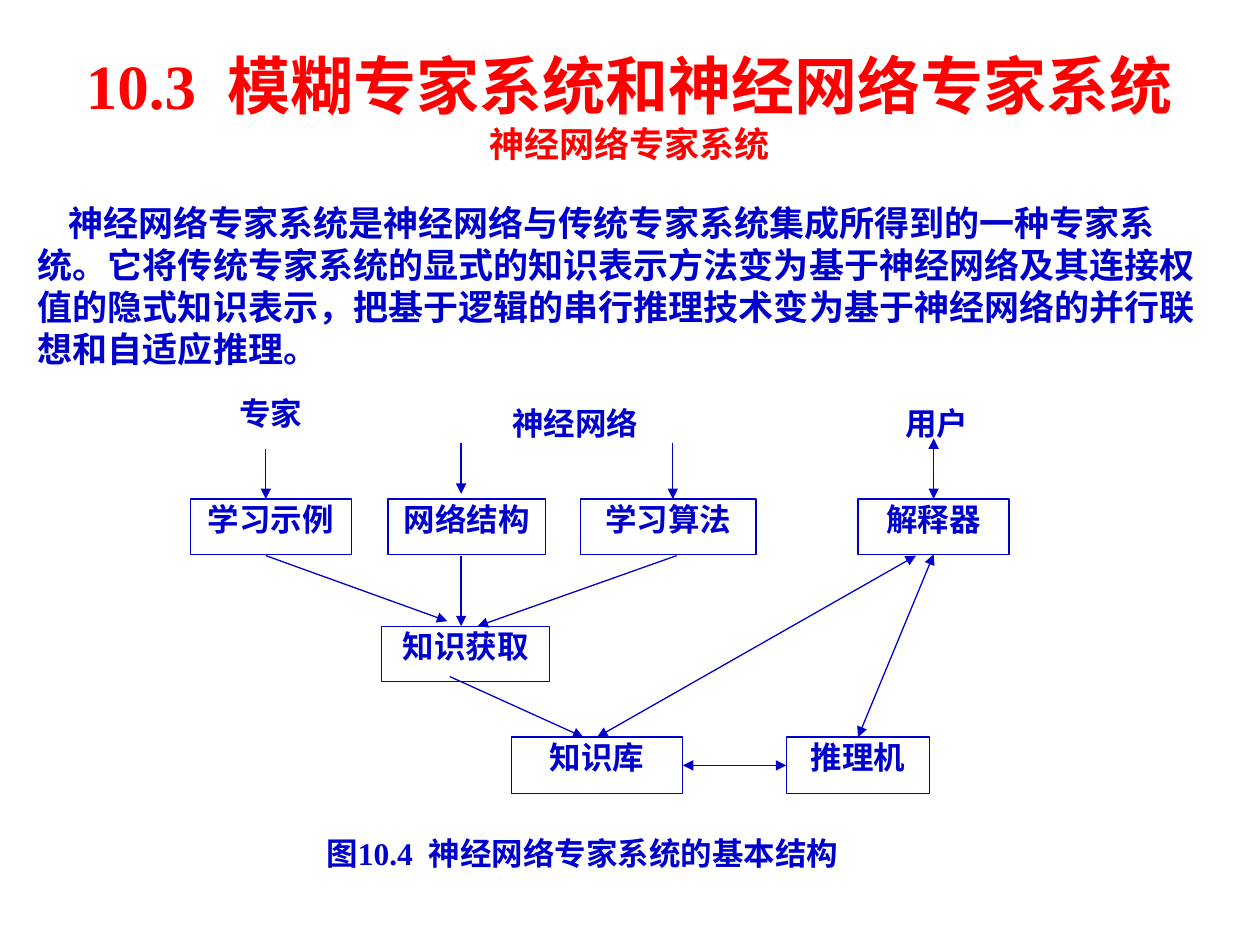
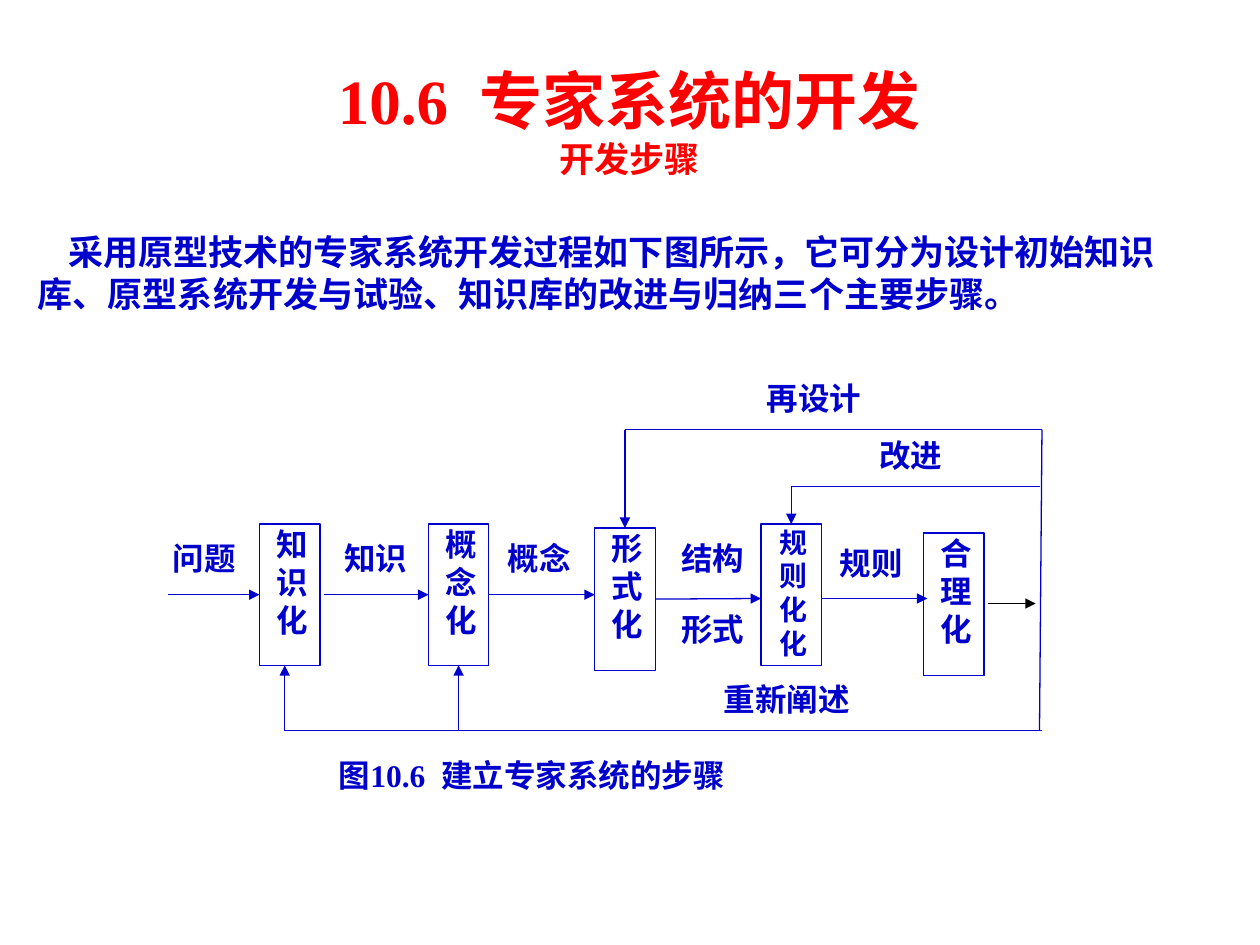
"""Build two slides on neural-network expert systems and development steps."""
from pptx import Presentation
from pptx.dml.color import RGBColor
from pptx.enum.shapes import MSO_CONNECTOR as CONN, MSO_SHAPE as SHAPE
from pptx.enum.text import MSO_ANCHOR as ANCHOR, MSO_AUTO_SIZE as AUTO, PP_ALIGN as ALIGN
from pptx.oxml.ns import qn
from pptx.util import Inches, Pt
from lxml import etree

COLORS = {"blue": "0000CC", "red": "FF0000", "white": "FFFFFF", "black": "000000"}
RGB = {k: RGBColor.from_string(v) for k, v in COLORS.items()}
FONT = "Times New Roman"
TOP, LEFT, BOTTOM, RIGHT = range(4)


def add_text(p, text, size, color="blue", align=ALIGN.CENTER):
    p.alignment = align
    p.space_before = Pt(0)
    r = p.add_run()
    r.text = text
    r.font.name, r.font.size, r.font.bold = FONT, Pt(size), True
    r.font.color.rgb = RGB[color]


def add_line(s, begin, end, arrows="", color="blue"):
    c = s.shapes.add_connector(CONN.STRAIGHT, 0, 0, 0, 0)
    if isinstance(begin[0], str):
        c.begin_connect(nodes[begin[0]], begin[1])
    else:
        c.begin_x, c.begin_y = map(Inches, begin)
    if isinstance(end[0], str):
        c.end_connect(nodes[end[0]], end[1])
    else:
        c.end_x, c.end_y = map(Inches, end)
    c.line.color.rgb, c.line.width = RGB[color], Pt(0.75)
    ln = c.line._get_or_add_ln()
    for tag in arrows.split():
        etree.SubElement(ln, qn(f"a:{tag}End"), type="triangle")
    etree.SubElement(c._element.spPr, qn("a:effectLst"))


STRUCTURE = {
    "title": ("10.3  模糊专家系统和神经网络专家系统", "神经网络专家系统", 0.32),
    "body": ("神经网络专家系统是神经网络与传统专家系统集成所得到的一种专家系统。"
             "它将传统专家系统的显式的知识表示方法变为基于神经网络及其连接权值的隐式知识表示，"
             "把基于逻辑的串行推理技术变为基于神经网络的并行联想和自适应推理。", 1.55, 1.44),
    "caption": ("图10.4  神经网络专家系统的基本结构", 2.57, 6.61, 4.6, 0.44),
    "labels": [
        ("专家", 1.78, 3.12, 0.74, 0.44),
        ("神经网络", 3.95, 3.2, 1.23, 0.44),
        ("用户", 7.08, 3.2, 0.71, 0.4),
    ],
    "boxes": [
        ("学习示例", 1.51, 3.96, 1.28, 0.44),
        ("网络结构", 3.08, 3.96, 1.25, 0.44),
        ("学习算法", 4.61, 3.96, 1.39, 0.44),
        ("解释器", 6.81, 3.96, 1.2, 0.44),
        ("知识获取", 3.03, 4.97, 1.33, 0.44),
        ("知识库", 4.06, 5.85, 1.36, 0.45),
        ("推理机", 6.24, 5.85, 1.14, 0.45),
    ],
    "lines": [
        ((2.11, 3.56), (2.11, 3.96), "tail"),
        ((3.66, 3.52), (3.66, 3.92), "tail"),
        ((5.34, 3.52), (5.34, 3.96), "tail"),
        ((7.41, 3.48), ("解释器", TOP), "head tail"),
        ((2.11, 4.41), (3.55, 4.93), "tail"),
        ((3.66, 4.41), (3.66, 4.97), "tail"),
        ((5.37, 4.41), (3.79, 4.97), "tail"),
        ((3.57, 5.37), (4.63, 5.85), "tail"),
        (("知识库", TOP), (7.27, 4.41), "head tail"),
        (("知识库", RIGHT), ("推理机", LEFT), "head tail"),
        (("解释器", BOTTOM), ("推理机", TOP), "head tail"),
    ],
}
STEPS = {
    "title": ("10.6  专家系统的开发", "开发步骤", 0.44),
    "body": ("采用原型技术的专家系统开发过程如下图所示，它可分为设计初始知识库、"
             "原型系统开发与试验、知识库的改进与归纳三个主要步骤。", 1.78, 0.77),
    "caption": ("图10.6  建立专家系统的步骤", 2.67, 5.99, 3.5, 0.41),
    "labels": [
        ("再设计", 6.04, 3, 0.84, 0.34),
        ("改进", 6.9, 3.45, 0.66, 0.34),
        ("问题", 1.33, 4.27, 0.58, 0.37),
        ("知识", 2.69, 4.27, 0.58, 0.37),
        ("概念", 3.99, 4.27, 0.58, 0.37),
        ("结构", 5.36, 4.27, 0.59, 0.37),
        ("形式", 5.36, 4.83, 0.59, 0.37),
        ("规则", 6.62, 4.31, 0.59, 0.37),
        ("重新阐述", 5.69, 5.39, 1.11, 0.34),
    ],
    "boxes": [
        ("知识化", 2.06, 4.16, 0.48, 1.12),
        ("概念化", 3.4, 4.16, 0.48, 1.12),
        ("形式化", 4.72, 4.19, 0.48, 1.13),
        ("规则化化", 6.04, 4.16, 0.48, 1.12),
        ("合理化", 7.33, 4.23, 0.48, 1.13),
    ],
    "lines": [
        ((1.33, 4.72), ("知识化", LEFT), "tail"),
        ((2.57, 4.72), ("概念化", LEFT), "tail"),
        (("概念化", RIGHT), (4.72, 4.72), "tail"),
        (("形式化", RIGHT), (6.04, 4.75), "tail"),
        ((6.52, 4.75), (7.36, 4.75), "tail"),
        ((7.84, 4.79), (8.22, 4.79), "tail", "black"),
        ((4.96, 3.41), ("形式化", TOP), "tail"),
        ((6.28, 3.86), ("规则化化", TOP), "tail"),
        ((2.26, 5.8), (2.26, 5.28), "tail"),
        ((3.64, 5.8), ("概念化", BOTTOM), "tail"),
        ((8.27, 3.41), (8.25, 5.8)),
        ((2.26, 5.8), (8.27, 5.8)),
        ((6.28, 3.86), (8.25, 3.86)),
        ((8.27, 3.41), (4.96, 3.41)),
    ],
}

prs = Presentation()
prs.slide_width, prs.slide_height = Inches(10), Inches(7.5)

for page in (STRUCTURE, STEPS):
    s = prs.slides.add_slide(prs.slide_layouts[1])
    title, body = s.shapes.title, s.placeholders[1]
    heading, subheading, title_top = page["title"]
    intro, body_top, body_height = page["body"]
    for sp, at in ((title, (0.27, title_top, 9.45, 1.04)),
                   (body, (0.2, body_top, 9.61, body_height))):
        sp.left, sp.top, sp.width, sp.height = map(Inches, at)
        tf = sp.text_frame
        tf.auto_size, tf.word_wrap, tf.vertical_anchor = AUTO.NONE, True, ANCHOR.TOP
    tf = title.text_frame
    add_text(tf.paragraphs[0], heading, 36, "red")
    add_text(tf.add_paragraph(), subheading, 20, "red")
    p = body.text_frame.paragraphs[0]
    add_text(p, intro, 20, align=ALIGN.LEFT)
    pPr = p._p.get_or_add_pPr()
    pPr.set("marL", "0")
    pPr.set("indent", str(Inches(0.24)))
    pPr.set("hangingPunct", "0")
    etree.SubElement(pPr, qn("a:buNone"))

    nodes = {}
    for text, *at in page["boxes"] + page["labels"] + [page["caption"]]:
        framed = (text, *at) in page["boxes"]
        sp = s.shapes.add_shape(SHAPE.RECTANGLE, *map(Inches, at))
        sp.shadow.inherit = False
        sp.fill.solid()
        sp.fill.fore_color.rgb = RGB["white"]
        if framed:
            sp.line.color.rgb, sp.line.width = RGB["blue"], Pt(0.75)
            nodes[text] = sp
        else:
            sp.line.fill.background()
        tf = sp.text_frame
        tf.word_wrap, tf.vertical_anchor = True, ANCHOR.TOP
        tf.margin_left = Inches(0.06 if framed and at[2] < 0.5 else 0.02)
        tf.margin_right = Inches(0.02)
        tf.margin_top = tf.margin_bottom = Inches(0.01)
        align = ALIGN.JUSTIFY if text == page["caption"][0] else ALIGN.CENTER
        add_text(tf.paragraphs[0], text, 16 if text == "规则化化" else 18, align=align)
    for line in page["lines"]:
        add_line(s, *line)

prs.save("out.pptx")
